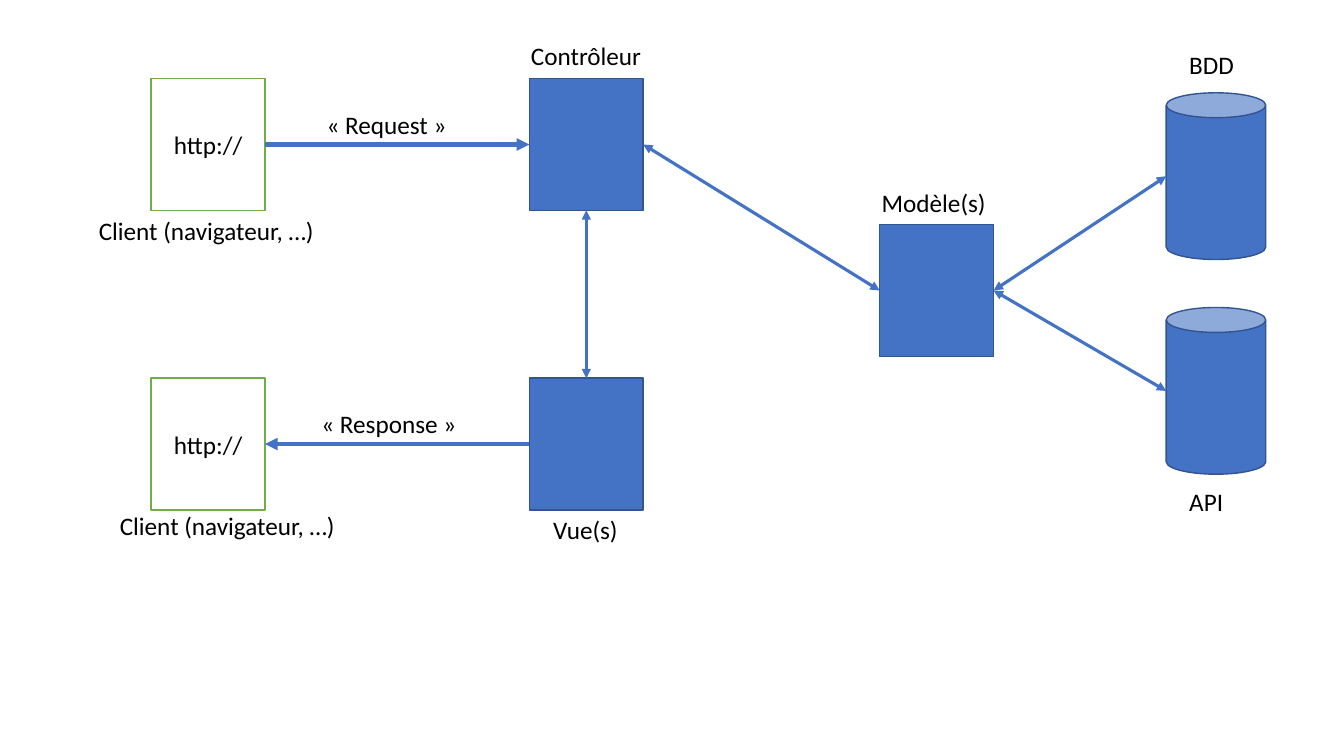
from lxml.etree import SubElement
from pptx import Presentation
from pptx.dml.color import RGBColor
from pptx.enum.shapes import MSO_CONNECTOR, MSO_SHAPE
from pptx.enum.text import MSO_ANCHOR, MSO_AUTO_SIZE, PP_ALIGN
from pptx.oxml.ns import qn
from pptx.util import Cm, Pt

BLUE, DARK_BLUE, GREEN = "4472C4", "325491", "70AD47"
WHITE, BLACK = "FFFFFF", "000000"

BLOCK_SIZE = (2.87, 3.32)
STORE_SIZE = (2.51, 4.2)
CLIENT_LEFT, CORE_LEFT, MODEL_LEFT, STORE_LEFT = 3.81, 13.34, 22.17, 29.39
REQUEST_TOP, MODEL_TOP, RESPONSE_TOP = 1.98, 5.66, 9.53
DATABASE_TOP, API_TOP = 2.34, 7.75

# Connection sites of a rectangle
TOP, LEFT, BOTTOM, RIGHT = range(4)


def color(value):
    return RGBColor.from_string(value)


def write(para, text):
    span = para.add_run()
    span.text = text
    span.font.name = "Calibri"
    span.font.size = Pt(18)
    span.font.color.rgb = color(BLACK)


def add_label(page, text, left, top, width):
    box = page.shapes.add_textbox(Cm(left), Cm(top), Cm(width), Cm(1.03))
    frame = box.text_frame
    frame.word_wrap = False
    frame.auto_size = MSO_AUTO_SIZE.SHAPE_TO_FIT_TEXT
    write(frame.paragraphs[0], text)


def add_block(page, kind, left, top, size, fill=BLUE, line=DARK_BLUE):
    block = page.shapes.add_shape(kind, Cm(left), Cm(top), *map(Cm, size))
    block.shadow.inherit = False
    block.fill.solid()
    block.fill.fore_color.rgb = color(fill)
    block.line.color.rgb = color(line)
    block.line.width = Pt(1)
    return block


def add_client(page, left, top, label_shift, label_drop):
    client = add_block(page, MSO_SHAPE.RECTANGLE, left, top, BLOCK_SIZE, WHITE, GREEN)
    frame = client.text_frame
    frame.vertical_anchor = MSO_ANCHOR.MIDDLE
    para = frame.paragraphs[0]
    para.alignment = PP_ALIGN.CENTER
    write(para, "http://")
    add_label(page, "Client (navigateur, …)", left + label_shift, top + label_drop, 6)
    return client


def add_component(page, name, left, top, label_shift, label_drop, label_width):
    component = add_block(page, MSO_SHAPE.RECTANGLE, left, top, BLOCK_SIZE)
    add_label(page, name, left + label_shift, top + label_drop, label_width)
    return component


def add_store(page, name, left, top, label_drop, label_width):
    store = add_block(page, MSO_SHAPE.CAN, left, top, STORE_SIZE)
    add_label(page, name, left + 0.33, top + label_drop, label_width)
    return store


def side_point(shape, side):
    """Return the middle of one side of the shape."""
    across = {LEFT: 0, RIGHT: shape.width}.get(side, shape.width // 2)
    down = {TOP: 0, BOTTOM: shape.height}.get(side, shape.height // 2)
    return shape.left + across, shape.top + down


def add_arrow(page, start, start_side, end, end_side, width=2.25, both_ways=True):
    """Join two shapes; only rectangles are glued, as a can numbers its sites differently."""
    arrow = page.shapes.add_connector(
        MSO_CONNECTOR.STRAIGHT, *side_point(start, start_side), *side_point(end, end_side))
    if start.auto_shape_type == MSO_SHAPE.RECTANGLE:
        arrow.begin_connect(start, start_side)
    if end.auto_shape_type == MSO_SHAPE.RECTANGLE:
        arrow.end_connect(end, end_side)
    arrow.line.color.rgb = color(BLUE)
    arrow.line.width = Pt(width)
    outline = arrow.line._get_or_add_ln()
    for tag in ("a:headEnd", "a:tailEnd") if both_ways else ("a:tailEnd",):
        SubElement(outline, qn(tag), type="triangle")
    SubElement(arrow._element.spPr, qn("a:effectLst"))


def add_message(page, text, start, start_side, end, end_side, left, top, width):
    """Draw a one-way arrow with its caption."""
    add_arrow(page, start, start_side, end, end_side, width=3, both_ways=False)
    add_label(page, text, left, top, width)


def add_diagram(page):
    sender = add_client(page, CLIENT_LEFT, REQUEST_TOP, -1.57, 3.33)
    receiver = add_client(page, CLIENT_LEFT, RESPONSE_TOP, -1.04, 3.2)
    controller = add_component(page, "Contrôleur", CORE_LEFT, REQUEST_TOP, -0.21, -1.09, 3.3)
    model = add_component(page, "Modèle(s)", MODEL_LEFT, MODEL_TOP, -0.2, -1.06, 3.17)
    view = add_component(page, "Vue(s)", CORE_LEFT, RESPONSE_TOP, 0.35, 3.3, 2.16)
    database = add_store(page, "BDD", STORE_LEFT, DATABASE_TOP, -1.22, 1.65)
    api = add_store(page, "API", STORE_LEFT, API_TOP, 4.37, 1.37)

    add_message(page, "« Request »", sender, RIGHT, controller, LEFT,
                7.98, REQUEST_TOP + 0.64, 3.58)
    add_message(page, "« Response »", view, LEFT, receiver, RIGHT,
                7.85, RESPONSE_TOP + 0.64, 3.96)
    add_arrow(page, controller, RIGHT, model, LEFT)
    add_arrow(page, controller, BOTTOM, view, TOP)
    for store in (database, api):
        add_arrow(page, store, LEFT, model, RIGHT)


def main():
    deck = Presentation()
    deck.slide_width, deck.slide_height = Cm(33.87), Cm(19.05)
    page = deck.slides.add_slide(deck.slide_layouts[6])
    add_diagram(page)
    deck.save("out.pptx")


if __name__ == "__main__":
    main()
